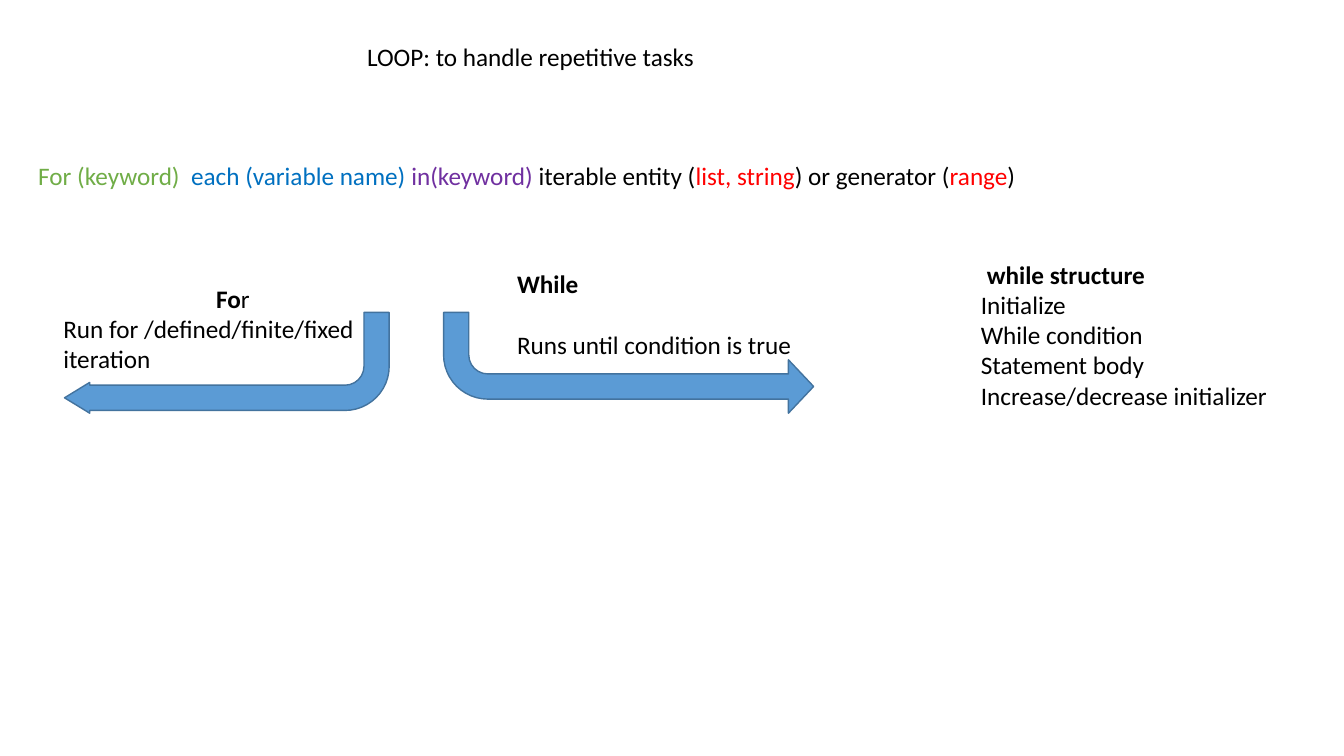
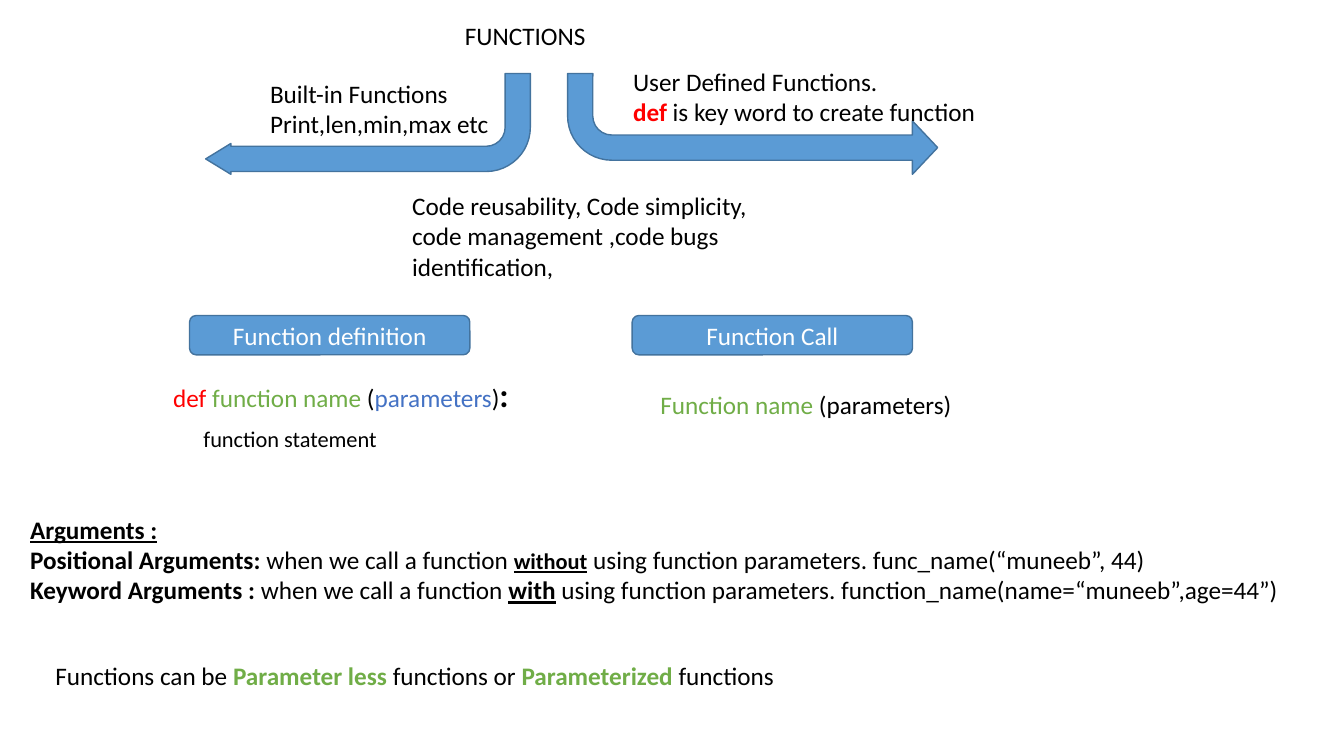
from pptx import Presentation
from pptx.dml.color import RGBColor
from pptx.enum import shapes, text
from pptx.util import Inches, Pt

INK = {
    "black": "000000", "white": "FFFFFF", "red": "FF0000", "green": "70AD47",
    "blue": "0070C0", "navy": "4472C4", "plum": "7030A0",
    "fill": "5B9BD5", "edge": "43739E",
}


def ink(name):
    return RGBColor.from_string(INK[name])


def bit(words, color="black", size=18, bold=False, under=False):
    return dict(words=words, color=color, size=size, bold=bold, under=under)


def para(*bits, align="LEFT", before=0, indent=0):
    return dict(bits=bits, align=align, before=before, indent=indent)


def lines(*rows):
    return [para(bit(row)) for row in rows]


class Deck:
    """Hold the shared style and the current slide."""

    font = "Calibri"

    def __init__(self):
        self.prs = Presentation()
        self.prs.slide_width = Inches(13.33)
        self.prs.slide_height = Inches(7.5)

    def place(self, shape, box):
        shape.left, shape.top, shape.width, shape.height = map(Inches, box)

    def letter(self, frame, paras, anchor="TOP"):
        frame.word_wrap = True
        frame.vertical_anchor = getattr(text.MSO_ANCHOR, anchor)
        for i, item in enumerate(paras):
            p = frame.add_paragraph() if i else frame.paragraphs[0]
            p.alignment = getattr(text.PP_ALIGN, item["align"])
            p.space_before = Pt(item["before"])
            if item["indent"]:
                p._p.get_or_add_pPr().set("marL", str(Inches(item["indent"])))
            for look in item["bits"]:
                run = p.add_run()
                run.text = look["words"]
                font = run.font
                font.name, font.size = self.font, Pt(look["size"])
                font.bold, font.underline = look["bold"], look["under"]
                font.color.rgb = ink(look["color"])

    def slide(self, title, box):
        self.page = self.prs.slides.add_slide(self.prs.slide_layouts[5])
        head = self.page.shapes.title
        self.place(head, box)
        self.letter(head.text_frame, lines(title))
        head.text_frame.auto_size = text.MSO_AUTO_SIZE.NONE

    def note(self, box, paras):
        shape = self.page.shapes.add_textbox(*map(Inches, box))
        self.letter(shape.text_frame, paras)

    def block(self, kind, box):
        shape = self.page.shapes.add_shape(kind, *map(Inches, box))
        shape.shadow.inherit = False
        shape.fill.solid()
        shape.fill.fore_color.rgb = ink("fill")
        shape.line.color.rgb = ink("edge")
        shape.line.width = Pt(1)
        return shape

    def arrow(self, box, head, flips):
        shape = self.block(shapes.MSO_SHAPE.BENT_ARROW, box)
        for i, value in enumerate((0.25, head, 0.25, 0.438)):
            shape.adjustments[i] = value
        for flip in flips:
            shape._element.spPr.xfrm.set(flip, "1")

    def fork(self, left, right, top):
        self.arrow((right, top, 3.67, 1), 0.265, ["flipV"])
        self.arrow((left, top, 3.22, 1), 0.153, ["flipH", "flipV"])

    def label(self, left, words):
        box = (left, 3.13, 2.78, 0.39)
        shape = self.block(shapes.MSO_SHAPE.ROUNDED_RECTANGLE, box)
        row = para(bit(words, color="white"), align="CENTER")
        self.letter(shape.text_frame, [row], anchor="MIDDLE")


def loops(deck):
    deck.slide("LOOP: to handle repetitive tasks", (3.54, 0.36, 4.7, 0.4))
    deck.note((0.28, 1.54, 10.72, 0.4), [para(
        bit("For (keyword)  ", color="green"),
        bit("each (variable name) ", color="blue"),
        bit("in(keyword)", color="plum"),
        bit(" iterable entity ("),
        bit("list, string", color="red"),
        bit(") or generator ("),
        bit("range", color="red"),
        bit(")"),
    )])
    deck.fork(0.64, 4.4, 3.1)
    deck.note((0.53, 2.76, 3.56, 1.01), [
        para(bit("Fo", bold=True), bit("r"), align="CENTER"),
        *lines("Run for /defined/finite/fixed iteration"),
    ])
    deck.note((5.03, 2.61, 3.54, 1.01), [
        para(bit("While", bold=True)),
        para(bit("Runs until condition is true"), before=22),
    ])
    deck.note((9.63, 2.52, 3.06, 1.62), [
        para(bit("while structure", bold=True), indent=0.06),
        *lines("Initialize", "While condition", "Statement body",
               "Increase/decrease initializer"),
    ])


def functions(deck):
    deck.slide("FUNCTIONS", (4.51, 0.15, 1.46, 0.4))
    deck.fork(2.04, 5.63, 0.73)
    deck.note((2.58, 0.73, 2.51, 0.71),
              lines("Built-in Functions", "Print,len,min,max etc"))
    deck.note((6.18, 0.61, 3.65, 0.71), [
        *lines("User Defined Functions."),
        para(bit("def", color="red", bold=True),
             bit(" is key word to create function")),
    ])
    deck.note((3.99, 1.84, 3.67, 1.01), lines(
        "Code reusability, Code simplicity, code management ,"
        "code bugs identification,"))
    deck.note((1.62, 3.66, 4.43, 0.95), [
        para(bit("def ", color="red"), bit("function name ", color="green"),
             bit("("), bit("parameters", color="navy"), bit(")"),
             bit(":", size=24, bold=True)),
        para(bit("function statement", size=16), before=7.5, indent=0.3),
    ])
    deck.label(1.88, "Function definition")
    deck.label(6.27, "Function Call")
    deck.note((6.45, 3.81, 3.12, 0.4), [
        para(bit("Function name ", color="green"), bit("(parameters)"))])
    call = bit("when we call a function ")
    deck.note((0.2, 5.05, 12.89, 1.01), [
        para(bit("Arguments :", bold=True, under=True)),
        para(bit("Positional Arguments: ", bold=True), call,
             bit("without", size=16, bold=True, under=True),
             bit(" using function parameters. func_name(“muneeb”, 44)")),
        para(bit("Keyword Arguments : ", bold=True), call,
             bit("with", bold=True, under=True),
             bit(" using function parameters. "
                 "function_name(name=“muneeb”,age=44”)")),
    ])
    deck.note((0.45, 6.5, 8.42, 0.4), [para(
        bit("Functions can be "),
        bit("Parameter less ", color="green", bold=True),
        bit("functions or"),
        bit(" Parameterized ", color="green", bold=True),
        bit("functions"),
    )])


deck = Deck()
loops(deck)
functions(deck)
deck.prs.save("out.pptx")
